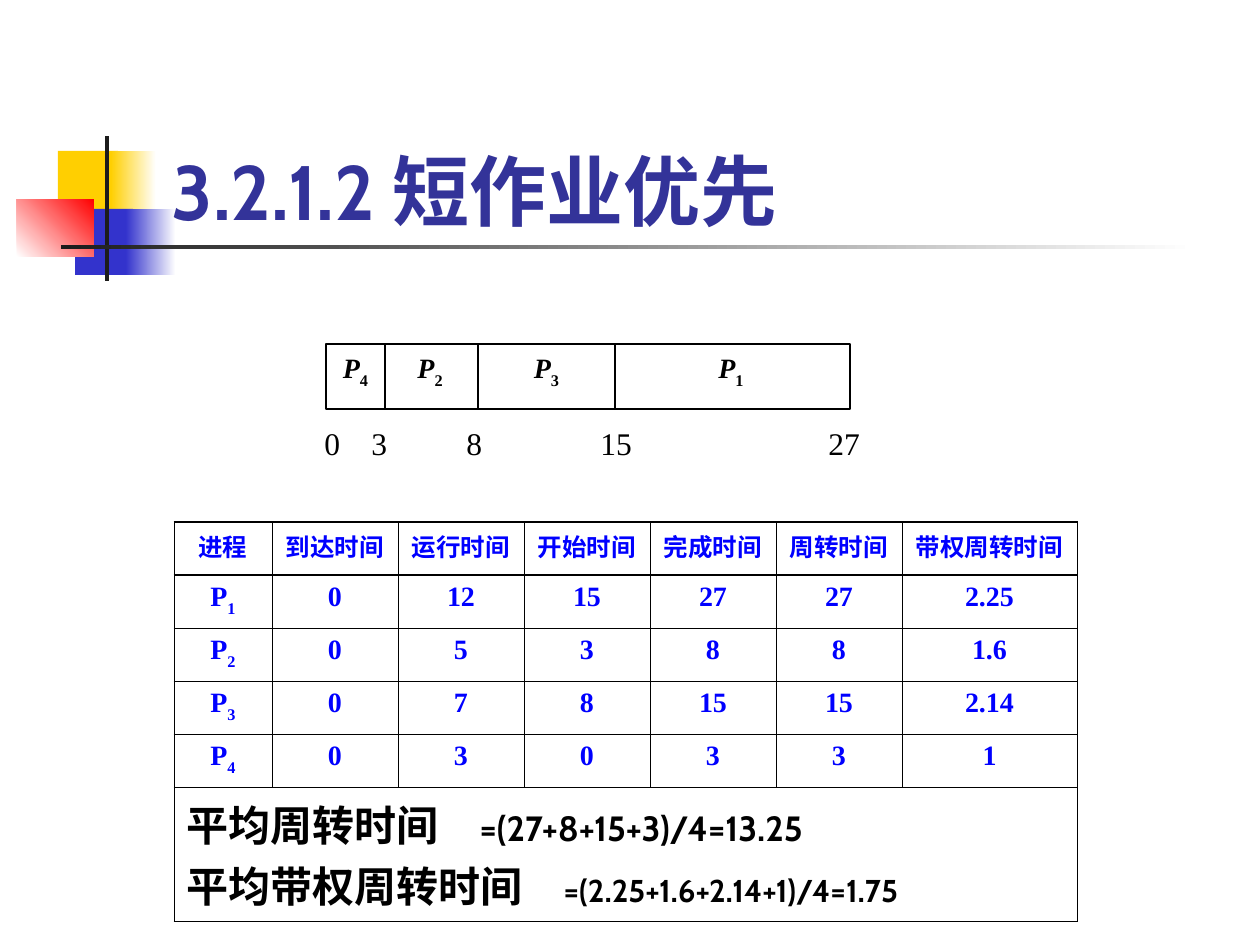
import pptx
import pptx.util
import pptx.dml.color
import pptx.enum.shapes
import pptx.enum.text
import pptx.oxml
import pptx.oxml.ns
from dataclasses import dataclass
from lxml import etree

ALIGN = pptx.enum.text.PP_ALIGN
ANCHOR = pptx.enum.text.MSO_ANCHOR


@dataclass(frozen=True)
class Theme:
    sans: str = "Cabin"
    serif: str = "Times New Roman"
    title: str = "333399"
    ink: str = "000000"
    data: str = "0000FF"
    paper: str = "FFFFFF"
    yellow: str = "FFCF01"
    blue: str = "3333CC"
    red: str = "FF0000"
    dark: str = "1C1C1C"
    title_size: int = 44
    result_size: int = 24
    formula_size: int = 20
    label_size: int = 18
    value_size: int = 16
    head_size: int = 14
    thin: float = 0.45
    thick: float = 0.96
    box_line: float = 1.25


def px(v):
    return round(v * 914400 / 126)


def rgb(color):
    return pptx.dml.color.RGBColor.from_string(color)


class Deck:
    def __init__(self, theme):
        self.t = theme
        self.prs = pptx.Presentation()
        self.prs.slide_width, self.prs.slide_height = px(1260), px(945)
        self.s = self.prs.slides.add_slide(self.prs.slide_layouts[5])

    def run(self, p, text, color, base=0, **fmt):
        r = p.add_run()
        r.text = text
        for key, value in fmt.items():
            setattr(r.font, key, pptx.util.Pt(value) if key == "size" else value)
        r.font.color.rgb = rgb(color)
        if base:
            r._r.get_or_add_rPr().set("baseline", str(base * 1000))

    def process(self, p, number, color, italic=False):
        fmt = {"name": self.t.serif, "size": self.t.value_size, "bold": True}
        self.run(p, "P", color, italic=italic, **fmt)
        self.run(p, number, color, base=-30, **fmt)

    def tabs(self, p, stops):
        tab_list = etree.SubElement(p._p.get_or_add_pPr(), pptx.oxml.ns.qn("a:tabLst"))
        for stop in stops:
            etree.SubElement(tab_list, pptx.oxml.ns.qn("a:tab"), pos=str(px(stop)), algn="l")

    def rect(self, x, y, w, h, colors, angle=0, line=None, width=0.75):
        sp = self.s.shapes.add_shape(pptx.enum.shapes.MSO_SHAPE.RECTANGLE,
                                     px(x), px(y), px(w), px(h))
        sp.shadow.inherit = False
        if len(colors) == 1:
            sp.fill.solid()
            sp.fill.fore_color.rgb = rgb(colors[0])
        else:
            sp.fill.gradient()
            sp.fill.gradient_angle = angle
            for stop, color in zip(sp.fill.gradient_stops, colors):
                stop.color.rgb = rgb(color)
        if line:
            sp.line.color.rgb = rgb(line)
            sp.line.width = pptx.util.Pt(width)
        else:
            sp.line.fill.background()
        return sp

    def title(self, text, x, y, w, h):
        sp = self.s.shapes.title
        self.s.shapes._spTree.append(sp._element)  # in front of the ornament
        sp.left, sp.top, sp.width, sp.height = px(x), px(y), px(w), px(h)
        tf = sp.text_frame
        tf.auto_size = pptx.enum.text.MSO_AUTO_SIZE.NONE
        tf.vertical_anchor = ANCHOR.BOTTOM
        p = tf.paragraphs[0]
        p.alignment = ALIGN.LEFT
        self.run(p, text, self.t.title, name=self.t.sans, size=self.t.title_size, bold=True)

    def gantt_bar(self, number, x, y, w, h):
        sp = self.rect(x, y, w, h, [self.t.paper], line=self.t.ink, width=self.t.box_line)
        sp.text_frame.vertical_anchor = ANCHOR.TOP
        p = sp.text_frame.paragraphs[0]
        p.alignment = ALIGN.CENTER
        self.process(p, number, self.t.ink, italic=True)

    def time_axis(self, times, stops, x, y, w, h):
        sp = self.rect(x, y, w, h, [self.t.paper], line=self.t.paper)
        tf = sp.text_frame
        tf.vertical_anchor = ANCHOR.TOP
        tf.margin_top = tf.margin_bottom = px(1)
        p = tf.paragraphs[0]
        p.alignment = ALIGN.LEFT
        self.tabs(p, stops)
        self.run(p, "\t".join(times), self.t.ink, name=self.t.serif, size=self.t.label_size)

    def borders(self, cell, top, bottom):
        tc_pr = cell._tc.get_or_add_tcPr()
        widths = {"L": self.t.thin, "R": self.t.thin, "T": top, "B": bottom}
        for side, width in widths.items():
            ln = etree.SubElement(tc_pr, pptx.oxml.ns.qn("a:ln" + side),
                                  w=str(pptx.util.Pt(width)))
            fill = etree.SubElement(ln, pptx.oxml.ns.qn("a:solidFill"))
            etree.SubElement(fill, pptx.oxml.ns.qn("a:srgbClr"), val=self.t.ink)
        cell.fill.background()

    def table(self, head, rows, results, x, y, col_widths, row_heights):
        t = self.t
        tb = self.s.shapes.add_table(len(row_heights), len(col_widths), px(x), px(y),
                                     px(sum(col_widths)), px(sum(row_heights))).table
        tb.first_row = tb.horz_banding = False
        for col, width in zip(tb.columns, col_widths):
            col.width = px(width)
        for row, height in zip(tb.rows, row_heights):
            row.height = px(height)
        last = len(row_heights) - 1
        for i, row in enumerate(tb.rows):
            for cell in row.cells:
                self.borders(cell, t.thick if i < 2 else t.thin,
                             t.thick if i in (0, last) else t.thin)
        # Header and values
        for i, values in enumerate([head] + rows):
            for j, value in enumerate(values):
                p = tb.cell(i, j).text_frame.paragraphs[0]
                p.alignment = ALIGN.CENTER
                if i and j == 0:
                    self.process(p, value, t.data)
                else:
                    self.run(p, value, t.data, name=t.serif, bold=True,
                             size=t.value_size if i else t.head_size)
        # Averages in one merged row
        tb.cell(last, 0).merge(tb.cell(last, len(col_widths) - 1))
        tf = tb.cell(last, 0).text_frame
        for k, (label, formula, size, stop) in enumerate(results):
            p = tf.add_paragraph() if k else tf.paragraphs[0]
            self.tabs(p, [stop])
            self.run(p, label + "\t", t.ink, name=t.sans, size=t.result_size, bold=True)
            self.run(p, formula, t.ink, name=t.sans, size=size, bold=True)


def main():
    t = Theme()
    d = Deck(t)

    # Ornament beside and below the title
    d.rect(58, 151, 60, 66, [t.yellow])
    d.rect(111, 151, 45, 66, [t.yellow, t.paper])
    d.rect(75, 209, 58, 66, [t.blue])
    d.rect(126, 209, 50, 66, [t.blue, t.paper])
    d.rect(17, 199, 77, 58, [t.paper, t.red], angle=45)
    d.rect(105, 136, 4, 145, [t.dark])
    d.rect(61, 245, 1134, 4, [t.dark, t.paper])

    d.title("3.2.1.2 短作业优先", 159, 84, 1074, 158)

    # Gantt chart with its time axis
    d.time_axis(["0", "3", "8", "15", "27"], [47, 142, 276, 504], 312, 423, 566, 45)
    for number, x, w in [("1", 612, 238), ("2", 382, 96), ("3", 478, 137), ("4", 326, 59)]:
        d.gantt_bar(number, x, 344, w, 65)

    # Schedule table
    head = ["进程", "到达时间", "运行时间", "开始时间", "完成时间", "周转时间", "带权周转时间"]
    rows = [["1", "0", "12", "15", "27", "27", "2.25"],
            ["2", "0", "5", "3", "8", "8", "1.6"],
            ["3", "0", "7", "8", "15", "15", "2.14"],
            ["4", "0", "3", "0", "3", "3", "1"]]
    results = [("平均周转时间", "=(27+8+15+3)/4=13.25", t.formula_size, 293),
               ("平均带权周转时间", "=(2.25+1.6+2.14+1)/4=1.75", t.label_size, 377)]
    d.table(head, rows, results, 174, 522, [98] + [126] * 5 + [175], [53] * 5 + [113])

    d.prs.save("out.pptx")


if __name__ == "__main__":
    main()
